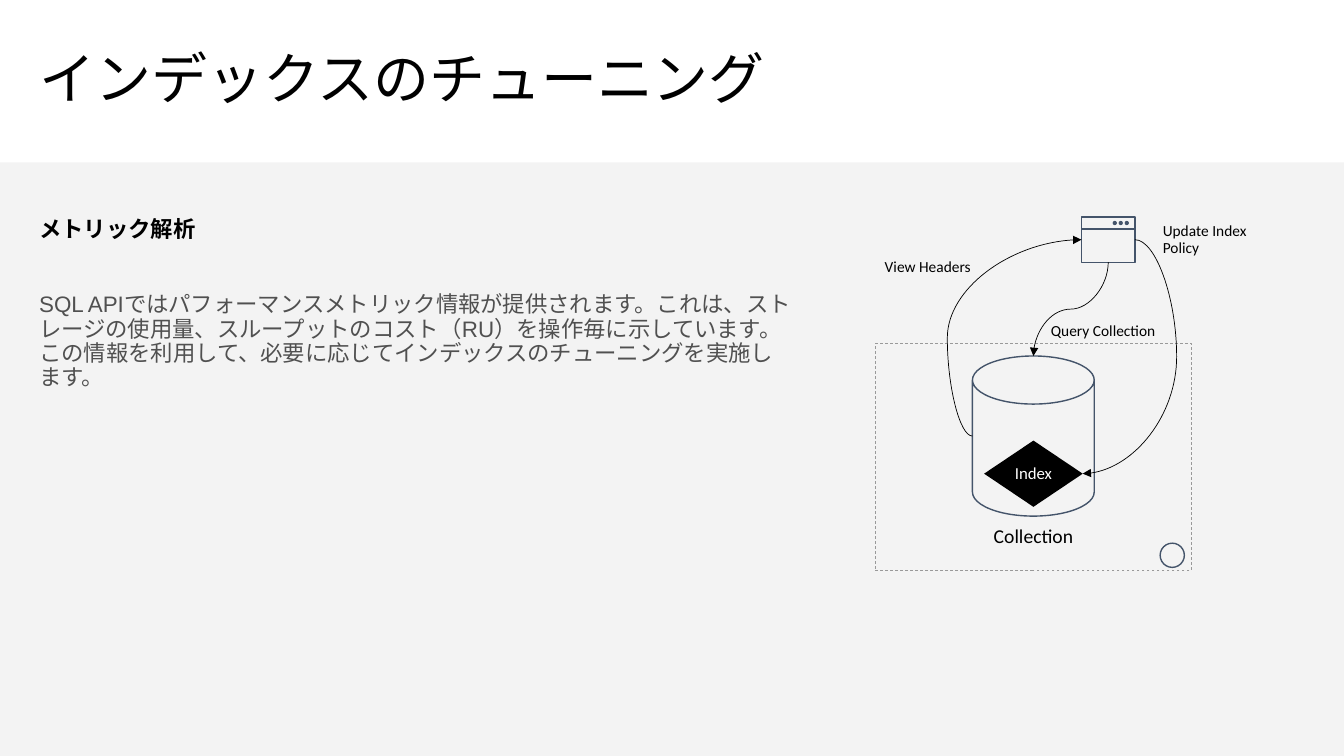
from pptx import Presentation
from pptx.dml.color import RGBColor
from pptx.enum import dml, shapes, text
from pptx.oxml import ns
from pptx.util import Pt
from lxml import etree

SHAPE = shapes.MSO_SHAPE
LINK = shapes.MSO_CONNECTOR
ALIGN = text.PP_ALIGN
ANCHOR = text.MSO_ANCHOR
NAVY, BLACK, WHITE = "44546A", "000000", "FFFFFF"


def paint(target, color):
    """Give a fill or line format a solid colour."""
    target.solid()
    target.fore_color.rgb = RGBColor.from_string(color)


def style(para, size, font, color, bold=False, align=ALIGN.LEFT):
    para.line_spacing = 0.9
    para.alignment = align
    for run in para.runs:
        run.font.size = Pt(size)
        run.font.name = font
        run.font.bold = bold
        run.font.color.rgb = RGBColor.from_string(color)


def pad(frame, x, y):
    frame.margin_left = frame.margin_right = Pt(x)
    frame.margin_top = frame.margin_bottom = Pt(y)


def add_form(slide, kind, box, fill=None, line=None, width=1):
    form = slide.shapes.add_shape(kind, *map(Pt, box))
    form.shadow.inherit = False
    if fill:
        paint(form.fill, fill)
    else:
        form.fill.background()
    if line:
        paint(form.line.fill, line)
        form.line.width = Pt(width)
    else:
        form.line.fill.background()
    return form


def add_link(slide, kind, start, end, color, width):
    link = slide.shapes.add_connector(kind, *map(Pt, start + end))
    paint(link.line.fill, color)
    link.line.width = Pt(width)
    etree.SubElement(link._element.spPr, ns.qn("a:effectLst"))
    return link


def add_curve(slide, start, end, bend, upright=False):
    """Curved arrow; an upright one leaves and arrives vertically."""
    if upright:
        # A quarter turn about the centre maps this box onto start and end
        mid_x, mid_y = (start[0] + end[0]) / 2, (start[1] + end[1]) / 2
        half_x, half_y = (end[1] - start[1]) / 2, (start[0] - end[0]) / 2
        start = (mid_x - half_x, mid_y - half_y)
        end = (mid_x + half_x, mid_y + half_y)
    link = add_link(slide, LINK.CURVE, start, end, BLACK, 0.5)
    props = link._element.spPr
    if upright:
        props.find(ns.qn("a:xfrm")).set("rot", str(90 * 60000))
    guides = props.find(ns.qn("a:prstGeom")).find(ns.qn("a:avLst"))
    etree.SubElement(guides, ns.qn("a:gd"), name="adj1",
                     fmla=f"val {round(bend * 100000)}")
    etree.SubElement(props.find(ns.qn("a:ln")), ns.qn("a:tailEnd"),
                     type="triangle")


def add_label(slide, words, box, align=ALIGN.LEFT):
    label = slide.shapes.add_textbox(*map(Pt, box))
    frame = label.text_frame
    frame.text = words
    frame.word_wrap = False
    frame.auto_size = text.MSO_AUTO_SIZE.SHAPE_TO_FIT_TEXT
    frame.vertical_anchor = ANCHOR.MIDDLE
    pad(frame, 7.2, 7.2)
    style(frame.paragraphs[0], 11, "Calibri", BLACK, align=align)
    frame.paragraphs[0].space_after = Pt(6)


def add_title(slide, words):
    title = slide.shapes.title
    title.left, title.top, title.width, title.height = map(
        Pt, (20.9, 23, 918, 70.6))
    frame = title.text_frame
    frame.text = words
    frame.auto_size = text.MSO_AUTO_SIZE.NONE
    frame.vertical_anchor = ANCHOR.MIDDLE
    style(frame.paragraphs[0], 40, "Arial", BLACK)


def add_body(slide, head, words):
    frame = slide.shapes.add_textbox(*map(Pt, (20.9, 152, 553.7, 132.5))).text_frame
    frame.word_wrap = True
    frame.text = head
    style(frame.paragraphs[0], 16, "Arial", BLACK, bold=True)
    para = frame.add_paragraph()
    para.text = words
    para.space_before = Pt(37)
    style(para, 16, "Arial", "505050")


def add_window(slide, left, top):
    add_form(slide, SHAPE.RECTANGLE, (left, top, 38.2, 32.4), line=NAVY)
    add_link(slide, LINK.STRAIGHT, (left, top + 8.8), (left + 38.2, top + 8.8),
             NAVY, 1)
    for i in range(3):
        add_form(slide, SHAPE.OVAL, (left + 22.3 + 4.3 * i, top + 2.9, 3, 3),
                 fill=NAVY)


def add_store(slide):
    frame = add_form(slide, SHAPE.RECTANGLE, (625, 245.5, 226, 162),
                     line="999999", width=0.5)
    frame.line.dash_style = dml.MSO_LINE.DASH
    # Plain service marker
    add_form(slide, SHAPE.OVAL, (828.7, 388, 17.3, 17.3), line=NAVY)
    can = add_form(slide, SHAPE.CAN, (694.6, 254.3, 87, 114.4), line=NAVY)
    can.adjustments[0] = 0.395

    index = add_form(slide, SHAPE.FLOWCHART_DECISION, (703, 314.7, 70.4, 47.3),
                     fill=BLACK)
    words = index.text_frame
    words.text = "Index"
    words.vertical_anchor = ANCHOR.MIDDLE
    pad(words, 0, 0)
    style(words.paragraphs[0], 12, "Calibri", WHITE, align=ALIGN.CENTER)

    name = slide.shapes.add_textbox(*map(Pt, (684.9, 368.6, 106.6, 38.9))).text_frame
    name.text = "Collection"
    name.word_wrap = True
    pad(name, 14.4, 11.5)
    style(name.paragraphs[0], 14, "Calibri", BLACK, align=ALIGN.CENTER)


def main():
    deck = Presentation()
    deck.slide_width, deck.slide_height = Pt(960), Pt(540)
    slide = deck.slides.add_slide(deck.slide_layouts[5])

    # Background band, slightly see-through
    band = add_form(slide, SHAPE.RECTANGLE, (0, 116, 960, 424), fill="F2F2F2")
    tint = band._element.spPr.find(ns.qn("a:solidFill"))[0]
    etree.SubElement(tint, ns.qn("a:alpha"), val="89000")

    # Title and text
    add_title(slide, "インデックスのチューニング")
    add_body(slide, "メトリック解析",
             "SQL APIではパフォーマンスメトリック情報が提供されます。"
             "これは、ストレージの使用量、スループットのコスト（RU）を"
             "操作毎に示しています。この情報を利用して、必要に応じて"
             "インデックスのチューニングを実施します。")

    # Diagram
    add_window(slide, 772.5, 154.9)
    add_store(slide)
    add_curve(slide, (810.7, 171.2), (773.4, 338.3), -0.8)
    add_curve(slide, (791.6, 187.3), (738.1, 254.3), 0.5, upright=True)
    add_curve(slide, (694.6, 311.5), (772.5, 171.2), -0.23)
    add_label(slide, "Update Index \vPolicy", (823.5, 152, 79.2, 38.9))
    add_label(slide, "Query Collection", (743.5, 223.7, 92.2, 26.6))
    add_label(slide, "View Headers", (622.8, 177.8, 77.8, 26.6), ALIGN.RIGHT)

    deck.save("out.pptx")


if __name__ == "__main__":
    main()
